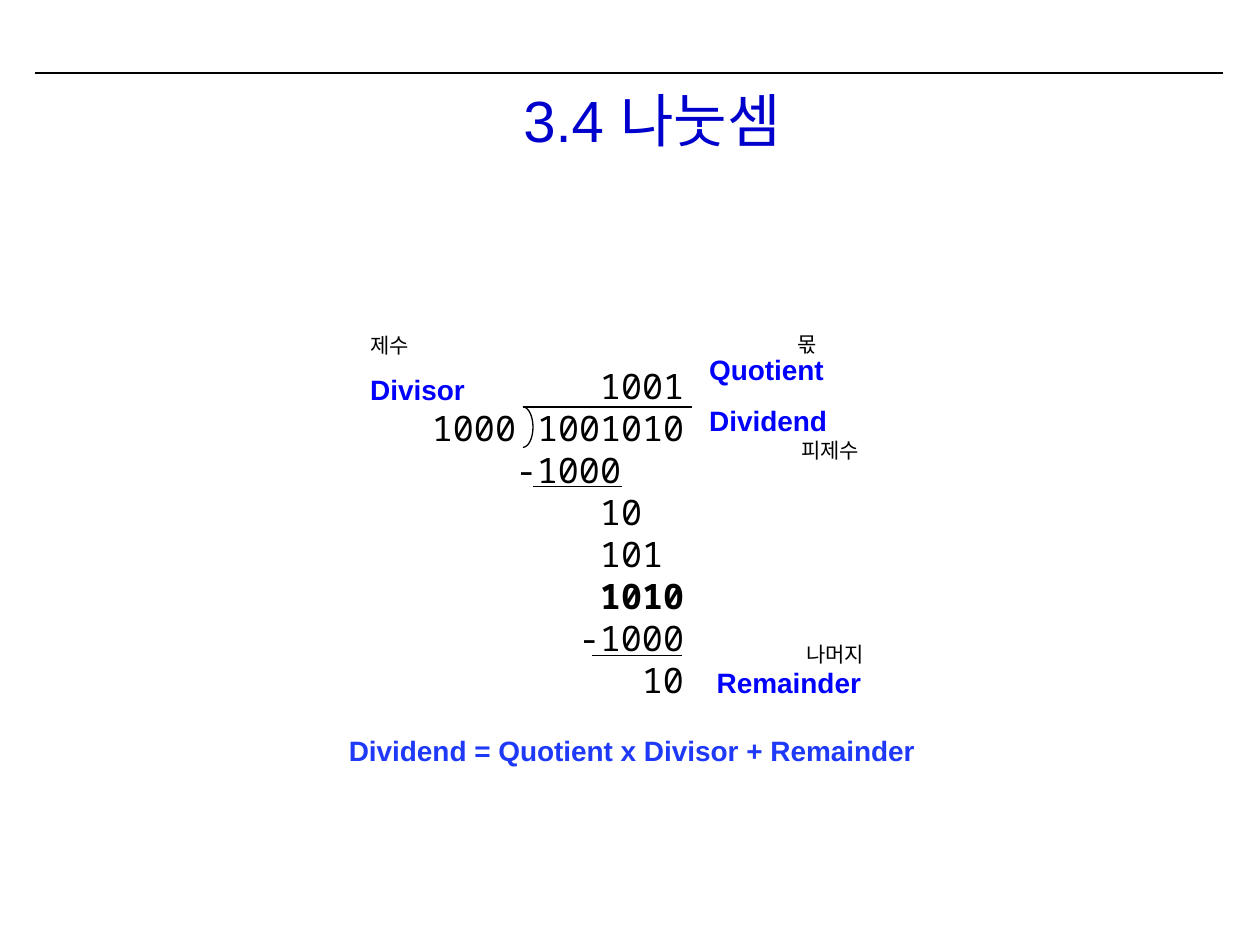
import math
from dataclasses import dataclass

from lxml import etree
from pptx import Presentation
from pptx.dml.color import RGBColor
from pptx.enum import shapes, text
from pptx.oxml import ns
from pptx.util import Inches, Pt


@dataclass(frozen=True)
class Theme:
    sans: str = "Arial"
    mono: str = "Noto Sans Mono"
    black: RGBColor = RGBColor(0x00, 0x00, 0x00)
    title_blue: RGBColor = RGBColor(0x00, 0x00, 0xCC)
    term_blue: RGBColor = RGBColor(0x00, 0x00, 0xFF)
    formula_blue: RGBColor = RGBColor(0x1E, 0x3A, 0xF8)
    title_size: Pt = Pt(33.2)
    digit_size: Pt = Pt(20)
    term_size: Pt = Pt(16)
    note_size: Pt = Pt(12)
    line_width: Pt = Pt(0.75)


THEME = Theme()
TITLE = dict(name=THEME.sans, size=THEME.title_size, color=THEME.title_blue)
DIGITS = dict(name=THEME.mono, size=THEME.digit_size, color=THEME.black)
TERM = dict(name=THEME.sans, size=THEME.term_size, color=THEME.term_blue, bold=True)
FORMULA = {**TERM, "color": THEME.formula_blue}
NOTE = dict(name=THEME.sans, size=THEME.note_size, color=THEME.black)

# Each step of the division: starting column, digits, bold
STEPS = [
    (8, "1001", False),
    (0, "1000 1001010", False),
    (4, "-1000", False),
    (8, "10", False),
    (8, "101", False),
    (8, "1010", True),
    (7, "-1000", False),
    (10, "10", False),
]
DIGIT_WIDTH = Pt(12)

LABELS = [
    ("Quotient", 5.53, 2.75, 1.13, 0.37, TERM),
    ("Dividend", 5.53, 3.15, 1.15, 0.37, TERM),
    ("Remainder", 5.59, 5.23, 1.36, 0.37, TERM),
    ("Divisor", 2.84, 2.91, 0.96, 0.37, TERM),
    ("Dividend = Quotient x Divisor + Remainder", 2.67, 5.77, 4.76, 0.37, FORMULA),
    ("제수", 2.84, 2.59, 0.54, 0.3, NOTE),
    ("몫", 6.23, 2.58, 0.37, 0.3, NOTE),
    ("피제수", 6.26, 3.42, 0.71, 0.3, NOTE),
    ("나머지", 6.3, 5.04, 0.71, 0.3, NOTE),
]

# Left end, right end and height of each horizontal line
RULES = [
    (0.28, 9.71, 0.58),
    (4.15, 5.49, 3.23),
    (4.23, 4.94, 3.86),
    (4.70, 5.41, 5.20),
]


def write(paragraph, content, style):
    run = paragraph.add_run()
    run.text = content
    for name, value in style.items():
        if name == "color":
            run.font.color.rgb = value
        else:
            setattr(run.font, name, value)


def add_title(slide, content):
    title = slide.shapes.title
    place = dict(left=0.49, top=0.67, width=9.37, height=0.79)
    for name, value in place.items():
        setattr(title, name, Inches(value))
    frame = title.text_frame
    settings = dict(
        margin_left=0, margin_right=0, margin_top=0, margin_bottom=0,
        vertical_anchor=text.MSO_ANCHOR.TOP, auto_size=text.MSO_AUTO_SIZE.NONE,
    )
    for name, value in settings.items():
        setattr(frame, name, value)
    paragraph = frame.paragraphs[0]
    paragraph.alignment = text.PP_ALIGN.CENTER
    write(paragraph, content, TITLE)


def add_label(slide, content, left, top, width, height, style):
    box = slide.shapes.add_textbox(*map(Inches, (left, top, width, height)))
    box.text_frame.word_wrap = False
    write(box.text_frame.paragraphs[0], content, style)


def add_division(slide):
    """Write the steps one per paragraph, indented by whole digit widths."""
    box = slide.shapes.add_textbox(*map(Inches, (3.33, 2.84, 2.25, 2.77)))
    frame = box.text_frame
    frame.word_wrap = True
    for index, (column, digits, bold) in enumerate(STEPS):
        paragraph = frame.add_paragraph() if index else frame.paragraphs[0]
        properties = paragraph._p.get_or_add_pPr()
        properties.set("marL", str(column * DIGIT_WIDTH))
        properties.set("indent", "0")
        write(paragraph, digits, {**DIGITS, "bold": bold})


def format_line(line):
    line.color.rgb = THEME.black
    line.width = THEME.line_width


def add_rule(slide, left, right, height):
    rule = slide.shapes.add_connector(
        shapes.MSO_CONNECTOR.STRAIGHT, *map(Inches, (left, height, right, height))
    )
    format_line(rule.line)
    etree.SubElement(rule._element.spPr, ns.qn("a:effectLst"))


def add_division_bracket(slide, left, middle, radius_x, radius_y, segments=24):
    """Draw the right half of an ellipse from top to bottom."""
    angles = [math.pi * (step / segments - 0.5) for step in range(segments + 1)]
    points = [
        (Inches(left + radius_x * math.cos(angle)), Inches(middle + radius_y * math.sin(angle)))
        for angle in angles
    ]
    builder = slide.shapes.build_freeform(*points[0])
    builder.add_line_segments(points[1:], close=False)
    bracket = builder.convert_to_shape()
    bracket.shadow.inherit = False
    bracket.fill.background()
    format_line(bracket.line)


def main():
    presentation = Presentation()
    presentation.slide_width = Inches(10)
    presentation.slide_height = Inches(7.5)
    slide = presentation.slides.add_slide(presentation.slide_layouts[5])
    add_title(slide, "3.4 나눗셈")
    add_division(slide)
    for rule in RULES:
        add_rule(slide, *rule)
    add_division_bracket(slide, left=4.15, middle=3.39, radius_x=0.08, radius_y=0.16)
    for label in LABELS:
        add_label(slide, *label)
    presentation.save("out.pptx")


if __name__ == "__main__":
    main()
